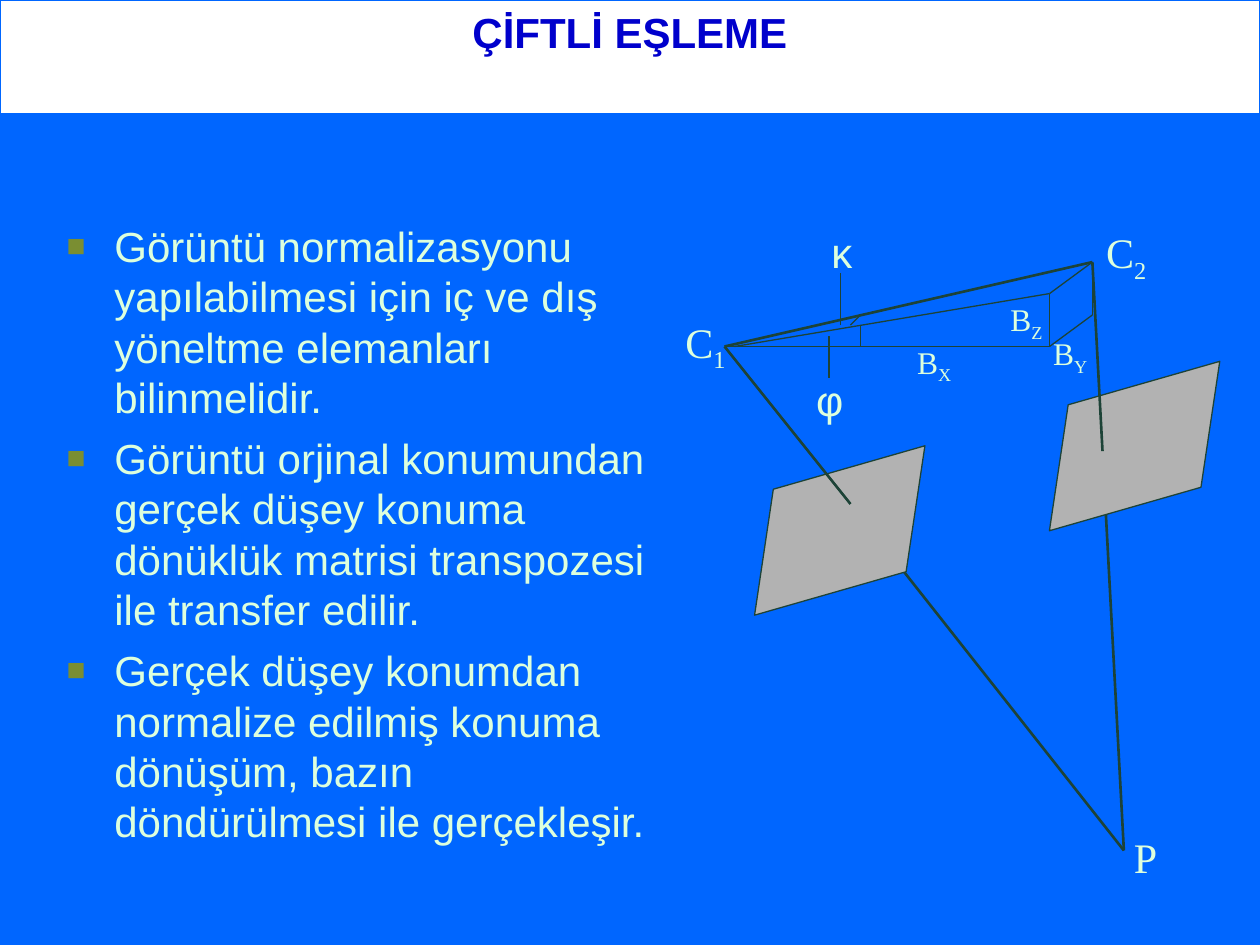
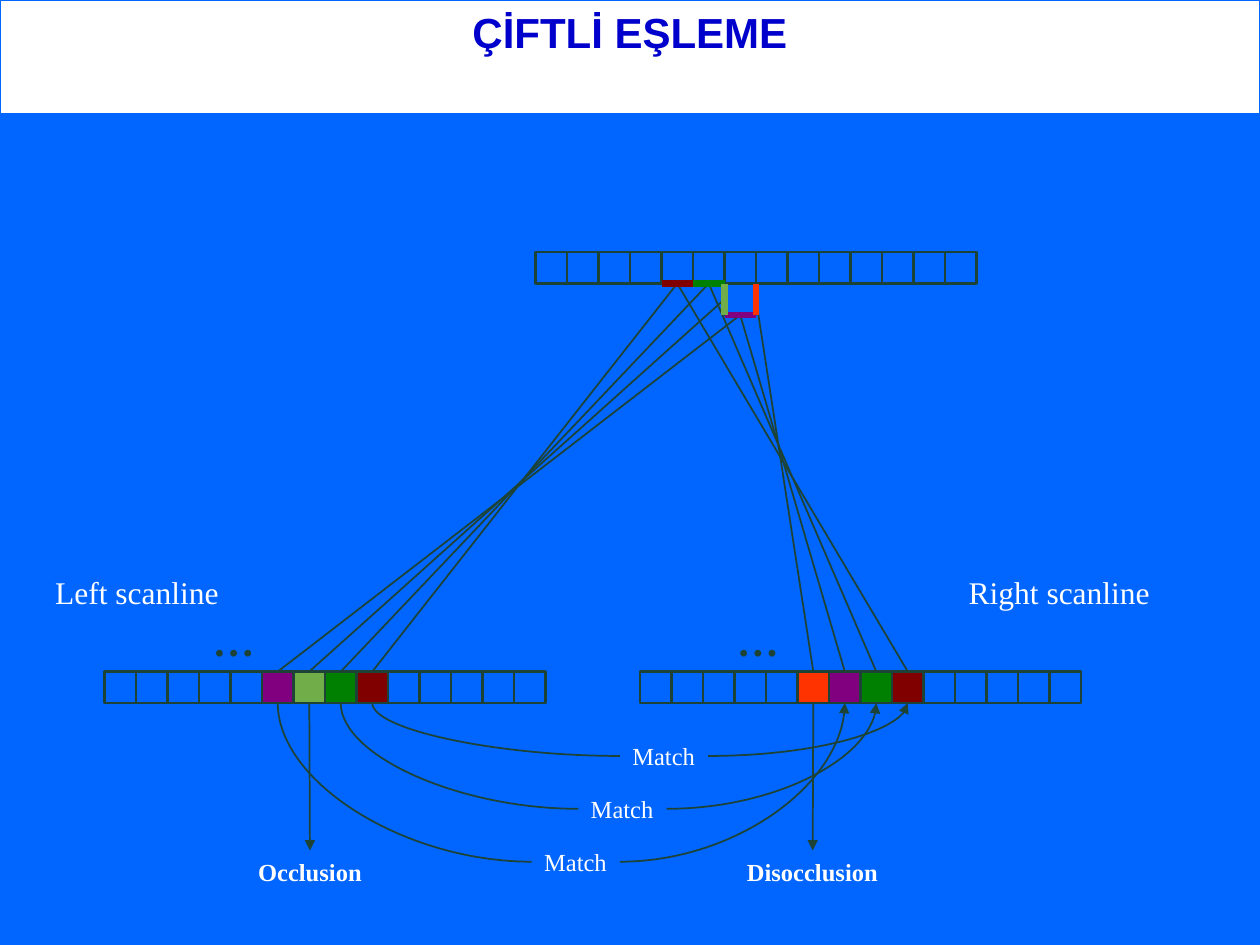
import lxml.etree
import pptx
import pptx.dml.color
import pptx.enum.shapes
import pptx.enum.text
import pptx.oxml.ns
import pptx.util

# Shared look
BLUE, WHITE, NAVY = "0066FF", "FFFFFF", "0000CC"
INK, MINT, OLIVE, GREY = "1D4337", "DDFFDD", "7A8E32", "B2B2B2"
MAROON, GREEN, PURPLE, LIME, ORANGE = "800000", "008000", "800080", "71AD49", "FF3300"
SANS, SERIF = "Arial", "Times New Roman"
TITLE = "ÇİFTLİ EŞLEME"
TITLE_FONT = {"name": SANS, "size": 24, "bold": True, "color": NAVY}
BULLET_FONT = {"name": SANS, "size": 24, "color": MINT}
BULLET_SPACING = {"space_before": pptx.util.Pt(6), "line_spacing": 1.0}
GREEK = {"name": SANS, "size": 24, "color": MINT}
POINT = {"name": SERIF, "size": 24, "color": MINT}
BASE_PART = {"name": SERIF, "size": 18, "color": MINT}
DOTS = {"name": SERIF, "size": 24, "bold": True, "color": INK}
SCANLINE = {"name": SERIF, "size": 18, "color": WHITE}
MATCH = {"name": SERIF, "size": 14, "color": WHITE}
OUTCOME = {**MATCH, "bold": True}
TOP, LEFT, BOTTOM, RIGHT = range(4)

# Slide 1 content (inches)
BULLETS = [
    "Görüntü normalizasyonu yapılabilmesi için iç ve dış yöneltme elemanları bilinmelidir.",
    "Görüntü orjinal konumundan gerçek düşey konuma dönüklük matrisi transpozesi ile transfer edilir.",
    "Gerçek düşey konumdan normalize edilmiş konuma dönüşüm, bazın döndürülmesi ile gerçekleşir.",
]
C1, C2, P = (5.75, 2.75), (8.67, 2.08), (8.92, 6.75)
IMAGE_POINT_1, IMAGE_POINT_2 = (6.75, 4), (8.75, 3.58)
CORNER_UP, CORNER_DOWN, CORNER_BACK = (8.33, 2.33), (8.33, 2.75), (8.67, 2.5)
RAYS_BEHIND = [(IMAGE_POINT_1, P), (P, IMAGE_POINT_2)]
IMAGE_PLANES = [(5.83, 3.75), (8.17, 3.08)]
RAYS_IN_FRONT = [(C1, IMAGE_POINT_1), (C2, IMAGE_POINT_2), (C1, C2)]
BASE_LINES = [
    (CORNER_UP, C2), (CORNER_UP, CORNER_DOWN), (C1, CORNER_DOWN),
    (C2, CORNER_BACK), (CORNER_DOWN, CORNER_BACK), ((5.83, 2.75), CORNER_UP),
    ((6.83, 2.58), (6.83, 2.75)), ((6.83, 2.5), (6.75, 2.58)),
    ((6.67, 2.58), (6.67, 2.17)), ((6.58, 2.67), (6.58, 3)),
]
GEOMETRY_LABELS = [  # text, subscript, box, font
    ("κ", "", (6.5, 1.75, 0.38, 0.5), GREEK),
    ("φ", "", (6.38, 2.92, 0.37, 0.5), GREEK),
    ("B", "X", (7.18, 2.67, 0.47, 0.44), BASE_PART),
    ("B", "Z", (7.92, 2.33, 0.48, 0.44), BASE_PART),
    ("B", "Y", (8.26, 2.6, 0.47, 0.44), BASE_PART),
    ("C", "1", (5.34, 2.46, 0.52, 0.56), POINT),
    ("C", "2", (8.68, 1.75, 0.52, 0.56), POINT),
    ("P", "", (8.9, 6.55, 0.38, 0.5), POINT),
]

# Slide 2 content (inches)
CELL, CELL_COUNT = 0.25, 14
ROWS = {  # left, top, fills by cell number
    "surface": (4.25, 2, {}),
    "left": (0.83, 5.33, {5: PURPLE, 6: LIME, 7: GREEN, 8: MAROON}),
    "right": (5.08, 5.33, {5: ORANGE, 6: PURPLE, 7: GREEN, 8: MAROON}),
}
STEP = (5.75, 2.25)
SIGHT_LINES = [  # scanline, cell number, surface cell (None is the step), side seen
    ("right", 8, 4, BOTTOM), ("left", 8, 4, BOTTOM),
    ("right", 7, 5, BOTTOM), ("left", 7, 5, BOTTOM),
    ("right", 6, None, BOTTOM), ("left", 5, None, BOTTOM),
    ("left", 6, None, LEFT), ("right", 5, None, RIGHT),
]
SURFACE_EDGES = [
    ((5.25, 2.25), (5.5, 2.25), MAROON), ((5.5, 2.25), (5.75, 2.25), GREEN),
    ((5.75, 2.5), (6, 2.5), PURPLE), ((5.75, 2.25), (5.75, 2.5), LIME),
    ((6, 2.25), (6, 2.5), ORANGE),
]
SCANLINE_LABELS = [
    ("…", (1.59, 4.83, 0.53, 0.5), DOTS),
    ("…", (5.75, 4.83, 0.53, 0.5), DOTS),
    ("Left scanline", (0.34, 4.5, 1.5, 0.4), SCANLINE),
    ("Right scanline", (7.59, 4.5, 1.64, 0.4), SCANLINE),
]
MATCHES = [(4.92, 5.83, 8, 8), (4.59, 6.25, 7, 7), (4.22, 6.67, 5, 6)]  # x, y, left and right cell
OUTCOMES = [
    ("Occlusion", (1.95, 6.75, 1.02, 0.34), "left", 6),
    ("Disocclusion", (5.83, 6.75, 1.24, 0.34), "right", 5),
]


def length(inches):
    return pptx.util.Cm(inches * 2.54)


def rgb(value):
    return pptx.dml.color.RGBColor.from_string(value)


def set_format(target, values):
    for name, value in values.items():
        setattr(target, name, value)


def add_xml(parent, tag, **attributes):
    return lxml.etree.SubElement(parent, pptx.oxml.ns.qn(tag), attributes)


def add_run(paragraph, text, font, subscript=False):
    run = paragraph.add_run()
    run.text = text
    values = {name: value for name, value in font.items() if name != "color"}
    set_format(run.font, {**values, "size": pptx.util.Pt(font["size"])})
    run.font.color.rgb = rgb(font["color"])
    if subscript:
        run.font._element.set("baseline", "-25000")


def add_shape(slide, kind, box, fill=None, line=INK, width=1.5):
    shape = slide.shapes.add_shape(kind, *map(length, box))
    shape.shadow.inherit = False
    if fill:
        shape.fill.solid()
        shape.fill.fore_color.rgb = rgb(fill)
    else:
        shape.fill.background()
    shape.line.color.rgb = rgb(line)
    shape.line.width = pptx.util.Pt(width)
    return shape


def add_label(slide, text, box, font, subscript=""):
    label = slide.shapes.add_textbox(*map(length, box))
    set_format(label.text_frame, {
        "word_wrap": False,
        "auto_size": pptx.enum.text.MSO_AUTO_SIZE.SHAPE_TO_FIT_TEXT,
    })
    paragraph = label.text_frame.paragraphs[0]
    add_run(paragraph, text, font)
    if subscript:
        add_run(paragraph, subscript, font, subscript=True)
    return label


def add_line(slide, start=(0, 0), end=(0, 0), color=INK, width=1.0, arrow=False, curved=False):
    kinds = pptx.enum.shapes.MSO_CONNECTOR
    kind = kinds.CURVE if curved else kinds.STRAIGHT
    connector = slide.shapes.add_connector(kind, *map(length, (*start, *end)))
    connector.line.color.rgb = rgb(color)
    connector.line.width = pptx.util.Pt(width)
    properties = connector._element.spPr
    if curved:
        properties.find(pptx.oxml.ns.qn("a:prstGeom")).set("prst", "curvedConnector2")
    if arrow:
        add_xml(properties.find(pptx.oxml.ns.qn("a:ln")), "a:tailEnd", type="triangle")
    add_xml(properties, "a:effectLst")
    return connector


def join(slide, first, first_side, second, second_side, **style):
    connector = add_line(slide, **style)
    connector.begin_connect(first, first_side)
    connector.end_connect(second, second_side)


def add_slide(presentation):
    slide = presentation.slides.add_slide(presentation.slide_layouts[6])
    slide.background.fill.solid()
    slide.background.fill.fore_color.rgb = rgb(BLUE)
    band = add_shape(slide, pptx.enum.shapes.MSO_SHAPE.RECTANGLE,
                     (0, 0, 10, 0.9), WHITE, BLUE, 0.75)
    band.text_frame.vertical_anchor = pptx.enum.text.MSO_ANCHOR.TOP
    paragraph = band.text_frame.paragraphs[0]
    paragraph.alignment = pptx.enum.text.PP_ALIGN.CENTER
    add_run(paragraph, TITLE, TITLE_FONT)
    return slide


def add_bullets(slide):
    frame = slide.shapes.add_textbox(*map(length, (0.43, 1.7, 5.04, 5.28))).text_frame
    frame.word_wrap = True
    for number, text in enumerate(BULLETS):
        paragraph = frame.add_paragraph() if number else frame.paragraphs[0]
        set_format(paragraph, BULLET_SPACING)
        add_run(paragraph, text, BULLET_FONT)
        properties = paragraph._element.get_or_add_pPr()
        properties.set("marL", str(length(0.38)))
        properties.set("indent", str(-length(0.38)))
        add_xml(add_xml(properties, "a:buClr"), "a:srgbClr", val=OLIVE)
        add_xml(properties, "a:buSzPct", val="75000")
        add_xml(properties, "a:buFont", typeface=SANS)
        add_xml(properties, "a:buChar", char="■")


def build_geometry_slide(presentation):
    slide = add_slide(presentation)
    add_bullets(slide)
    # Rays below the image planes, the planes, then everything above them
    for start, end in RAYS_BEHIND:
        add_line(slide, start, end, width=1.5)
    for corner in IMAGE_PLANES:
        plane = add_shape(slide, pptx.enum.shapes.MSO_SHAPE.PARALLELOGRAM,
                          (*corner, 1.67, 0.92), GREY, width=0.75)
        plane.adjustments[0] = 0.455
        plane.rotation = 344
    for lines, width in ((RAYS_IN_FRONT, 1.5), (BASE_LINES, 0.75)):
        for start, end in lines:
            add_line(slide, start, end, width=width)
    for text, subscript, box, font in GEOMETRY_LABELS:
        add_label(slide, text, box, font, subscript)


def build_scanline_slide(presentation):
    slide = add_slide(presentation)
    square = pptx.enum.shapes.MSO_SHAPE.RECTANGLE
    # Rows of cells and the step in the surface
    cells = {
        name: [add_shape(slide, square, (left + number * CELL, top, CELL, CELL), fills.get(number))
               for number in range(CELL_COUNT)]
        for name, (left, top, fills) in ROWS.items()
    }
    step = add_shape(slide, square, (*STEP, CELL, CELL))
    # Sight lines under the coloured surface edges
    for row, number, seen, side in SIGHT_LINES:
        target = step if seen is None else cells["surface"][seen]
        join(slide, cells[row][number], TOP, target, side)
    for start, end, color in SURFACE_EDGES:
        add_line(slide, start, end, color, 4)
    for text, box, font in SCANLINE_LABELS:
        add_label(slide, text, box, font)
    # Matches and the cells left without one
    for left, top, left_cell, right_cell in MATCHES:
        label = add_label(slide, "Match", (left, top, 0.7, 0.34), MATCH)
        join(slide, label, LEFT, cells["left"][left_cell], BOTTOM, curved=True)
        join(slide, label, RIGHT, cells["right"][right_cell], BOTTOM, curved=True, arrow=True)
    for text, box, row, number in OUTCOMES:
        label = add_label(slide, text, box, OUTCOME)
        join(slide, cells[row][number], BOTTOM, label, TOP, arrow=True)


def main():
    presentation = pptx.Presentation()
    set_format(presentation, {"slide_width": length(10), "slide_height": length(7.5)})
    build_geometry_slide(presentation)
    build_scanline_slide(presentation)
    presentation.save("out.pptx")


if __name__ == "__main__":
    main()
